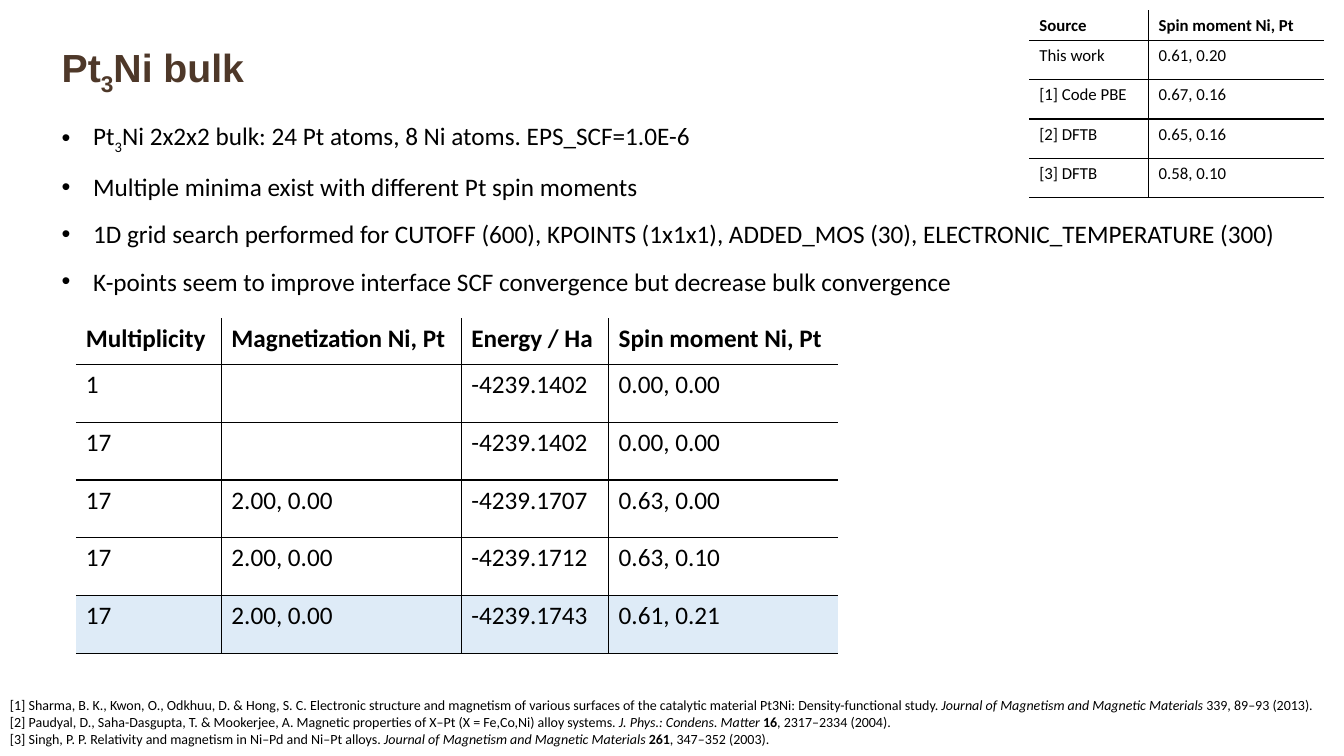
from lxml import etree
from pptx import Presentation
from pptx.dml.color import RGBColor
from pptx.enum.text import MSO_ANCHOR, MSO_AUTO_SIZE, PP_ALIGN
from pptx.oxml.ns import qn
from pptx.util import Pt

TOP = MSO_ANCHOR.TOP
NO_FIT, GROW = MSO_AUTO_SIZE.NONE, MSO_AUTO_SIZE.SHAPE_TO_FIT_TEXT
LEFT = PP_ALIGN.LEFT
TITLE_LAYOUT = 5
BLACK, BROWN, PALE_BLUE = "000000", "4E3829", "DEEBF7"
PLAIN, BOLD, ITALIC, SUB = "plain", "bold", "italic", "sub"

TITLE = [("Pt", BOLD), ("3", SUB), ("Ni bulk", BOLD)]
BULLETS = [
    [("Pt", PLAIN), ("3", SUB), ("Ni 2x2x2 bulk: 24 Pt atoms, 8 Ni atoms. EPS_SCF=1.0E-6", PLAIN)],
    [("Multiple minima exist with different Pt spin moments", PLAIN)],
    [("1D grid search performed for CUTOFF (600), KPOINTS (1x1x1), ADDED_MOS (30), "
      "ELECTRONIC_TEMPERATURE (300)", PLAIN)],
    [("K-points seem to improve interface SCF convergence but decrease bulk convergence", PLAIN)],
]
REFERENCES = [
    [("[1] Sharma, B. K., Kwon, O., Odkhuu, D. & Hong, S. C. Electronic structure and magnetism of "
      "various surfaces of the catalytic material Pt3Ni: Density-functional study. ", PLAIN),
     ("Journal of Magnetism and Magnetic Materials", ITALIC), (" 339, 89–93 (2013).", PLAIN)],
    [("[2] Paudyal, D., Saha-Dasgupta, T. & Mookerjee, A. Magnetic properties of X–Pt "
      "(X = Fe,Co,Ni) alloy systems. ", PLAIN),
     ("J. Phys.: Condens. Matter ", ITALIC), ("16", BOLD), (", 2317–2334 (2004).", PLAIN)],
    [("[3] Singh, P. P. Relativity and magnetism in Ni–Pd and Ni–Pt alloys. ", PLAIN),
     ("Journal of Magnetism and Magnetic Materials ", ITALIC), ("261", BOLD),
     (", 347–352 (2003).", PLAIN)],
]
SOURCES = [
    ["Source", "Spin moment Ni, Pt"],
    ["This work", "0.61, 0.20"],
    ["[1] Code PBE", "0.67, 0.16"],
    ["[2] DFTB", "0.65, 0.16"],
    ["[3] DFTB", "0.58, 0.10"],
]
MINIMA = [
    ["Multiplicity", "Magnetization Ni, Pt", "Energy / Ha", "Spin moment Ni, Pt"],
    ["1", "", "-4239.1402", "0.00, 0.00"],
    ["17", "", "-4239.1402", "0.00, 0.00"],
    ["17", "2.00, 0.00", "-4239.1707", "0.63, 0.00"],
    ["17", "2.00, 0.00", "-4239.1712", "0.63, 0.10"],
    ["17", "2.00, 0.00", "-4239.1743", "0.61, 0.21"],
]


def rgb(color):
    return RGBColor.from_string(color)


def style_run(r, size, color=BLACK, font="Calibri", bold=False):
    r.font.name = font
    r.font.size = Pt(size)
    r.font.bold = bold
    r.font.color.rgb = rgb(color)


def add_runs(p, parts, size, color=BLACK, font="Calibri", bold=False):
    for text, kind in parts:
        r = p.add_run()
        r.text = text
        style_run(r, size, color, font, bold or kind == BOLD)
        r.font.italic = kind == ITALIC
        if kind == SUB:
            r.font._element.set("baseline", "-25000")


def add_bullet(p):
    pPr = p._p.get_or_add_pPr()
    pPr.set("marL", str(Pt(22.5)))
    pPr.set("indent", str(Pt(-22.5)))
    etree.SubElement(pPr, qn("a:buFont")).set("typeface", "Arial")
    etree.SubElement(pPr, qn("a:buChar")).set("char", "•")


def set_title(s):
    sp = s.shapes.title
    sp.left, sp.top, sp.width, sp.height = Pt(36.9), Pt(27.8), Pt(675.4), Pt(53.3)
    tf = sp.text_frame
    tf.vertical_anchor = TOP
    tf.auto_size = NO_FIT
    p = tf.paragraphs[0]
    p.alignment = LEFT
    p.line_spacing = 0.9
    p.space_before = Pt(7.5)
    add_runs(p, TITLE, 28, BROWN, "Arial", True)


def add_text(s, left, top, width, height, lines, size, gap=0, bulleted=False):
    sp = s.shapes.add_textbox(Pt(left), Pt(top), Pt(width), Pt(height))
    tf = sp.text_frame
    tf.word_wrap = True
    tf.auto_size = GROW
    for i, parts in enumerate(lines):
        p = tf.add_paragraph() if i else tf.paragraphs[0]
        p.space_after = Pt(gap)
        if bulleted:
            add_bullet(p)
        add_runs(p, parts, size)


def set_borders(cell, shown):
    tcPr = cell._tc.get_or_add_tcPr()
    for side in "LRTB":
        ln = etree.SubElement(tcPr, qn("a:ln" + side), w=str(Pt(1)))
        if side in shown:
            fill = etree.SubElement(ln, qn("a:solidFill"))
            etree.SubElement(fill, qn("a:srgbClr")).set("val", BLACK)
        else:
            etree.SubElement(ln, qn("a:noFill"))


def fill_cell(cell, text, size, header, highlighted):
    if highlighted:
        cell.fill.solid()
        cell.fill.fore_color.rgb = rgb(PALE_BLUE)
    else:
        cell.fill.background()
    cell.text_frame.text = text
    for r in cell.text_frame.paragraphs[0].runs:
        style_run(r, size, bold=header)


def add_grid(s, left, top, widths, header_height, row_height, rows, size, highlight=None):
    height = header_height + row_height * (len(rows) - 1)
    table = s.shapes.add_table(len(rows), len(widths), Pt(left), Pt(top),
                               Pt(sum(widths)), Pt(height)).table
    table.first_row = table.horz_banding = False
    for col, width in zip(table.columns, widths):
        col.width = Pt(width)
    for i, values in enumerate(rows):
        table.rows[i].height = Pt(row_height if i else header_height)
        for j, text in enumerate(values):
            cell = table.cell(i, j)
            shown = "B" + ("T" if i else "") + ("L" if j else "")
            set_borders(cell, shown + ("R" if j < len(widths) - 1 else ""))
            fill_cell(cell, text, size, i == 0, i == highlight)


def main():
    prs = Presentation()
    prs.slide_width, prs.slide_height = Pt(960), Pt(540)
    s = prs.slides.add_slide(prs.slide_layouts[TITLE_LAYOUT])
    add_text(s, 36.9, 82.6, 923, 131, BULLETS, 18, gap=12, bulleted=True)
    set_title(s)
    add_text(s, 0, 494.3, 960, 43.9, REFERENCES, 10)
    add_grid(s, 735.2, 7.2, [85.2, 125.6], 21.6, 28.1, SOURCES, 12)
    add_grid(s, 54.1, 227.2, [104, 171.4, 105.3, 163.8], 33.1, 41.3, MINIMA, 18, highlight=5)
    prs.save("out.pptx")


if __name__ == "__main__":
    main()
